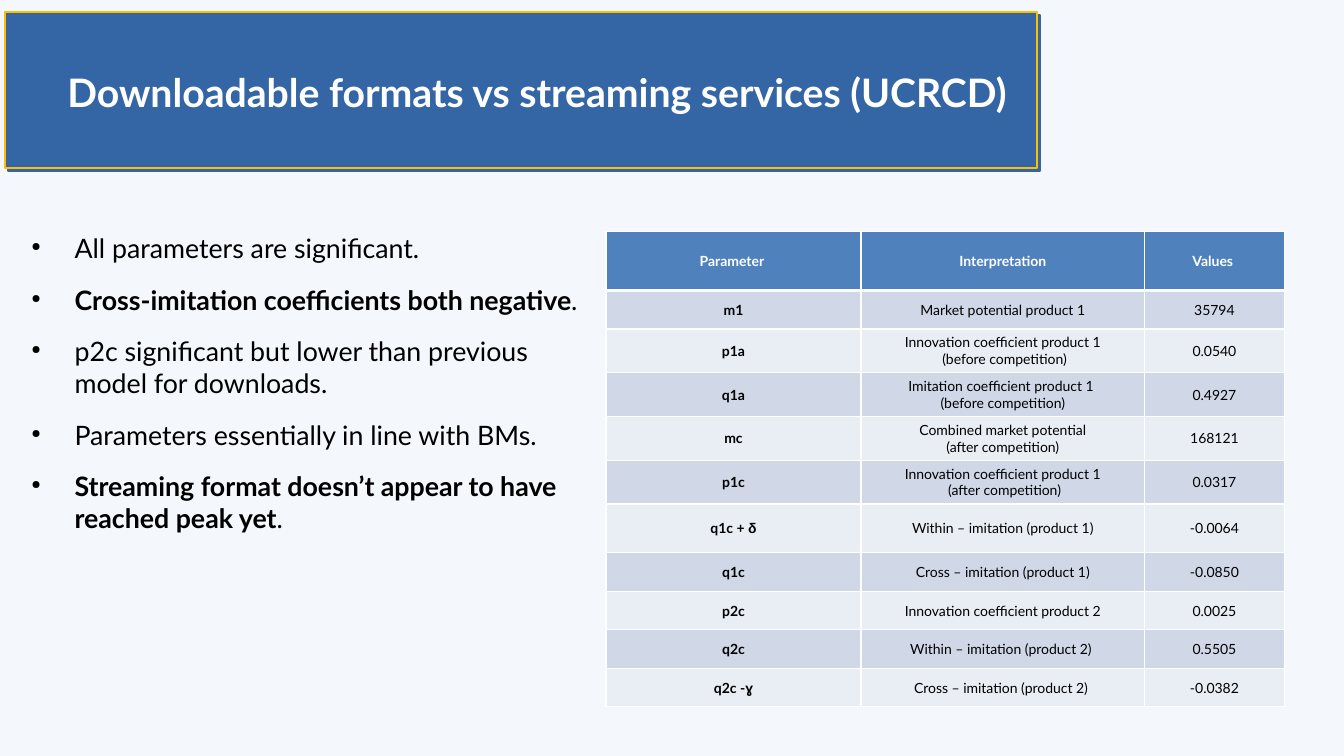
import pptx
import pptx.dml.color
import pptx.enum.shapes
import pptx.enum.text
import pptx.oxml
import pptx.oxml.ns
import pptx.util
from dataclasses import dataclass

Cm = pptx.util.Cm
Pt = pptx.util.Pt
MIDDLE = pptx.enum.text.MSO_ANCHOR.MIDDLE


@dataclass(frozen=True)
class Theme:
    font: str = "Lato"
    greek_font: str = "Arial"
    background: str = "F4F7FB"
    banner: str = "3465A4"
    banner_line: str = "FFBF00"
    header: str = "4F81BD"
    bands: tuple = ("D0D8E8", "E9EDF4")
    light: str = "FFFFFF"
    dark: str = "000000"
    title_size: float = 28
    body_size: float = 19.1
    table_size: float = 10


THEME = Theme()

TITLE = "Downloadable formats vs streaming services (UCRCD)"

# Each finding is a list of (text, bold) spans
FINDINGS = [
    [("All parameters are significant.", False)],
    [("Cross-imitation coefficients both negative", True), (".", False)],
    [("p2c significant but lower than previous model for downloads.", False)],
    [("Parameters essentially in line with BMs.", False)],
    [("Streaming format doesn’t appear to have reached peak yet", True), (".", False)],
]

HEADINGS = ["Parameter ", "Interpretation", "Values "]

# Parameter, Greek symbol, interpretation lines, value, row height in cm
PARAMETERS = [
    ("m1", "", ["Market potential product 1"], "35794", 0.97),
    ("p1a", "", ["Innovation coefficient product 1", " (before competition)"], "0.0540", 1.1),
    ("q1a", "", ["Imitation coefficient product 1 ", "(before competition)"], "0.4927", 1.1),
    ("mc", "", ["Combined market potential", " (after competition) "], "168121", 1.1),
    ("p1c", "", ["Innovation coefficient product 1", " (after competition)"], "0.0317", 1.1),
    ("q1c + ", "δ", ["Within – imitation (product 1)"], "-0.0064", 1.23),
    ("q1c", "", ["Cross – imitation (product 1)"], "-0.0850", 0.97),
    ("p2c", "", ["Innovation coefficient product 2"], "0.0025", 0.97),
    ("q2c", "", ["Within – imitation (product 2) "], "0.5505", 0.97),
    ("q2c -", "ɣ", ["Cross – imitation (product 2) "], "-0.0382", 0.97),
]
HEADER_HEIGHT = 1.48
COLUMN_WIDTHS = [6.43, 7.14, 3.53]


def rgb(code):
    return pptx.dml.color.RGBColor.from_string(code)


def add_xml(parent, markup):
    namespace = pptx.oxml.ns.nsdecls("a")
    parent.append(pptx.oxml.parse_xml(markup.replace(">", f" {namespace}>", 1)))


def add_span(para, text, size, color, bold=False, font=THEME.font):
    span = para.add_run()
    span.text = text
    for name, value in {"name": font, "size": Pt(size), "bold": bold}.items():
        setattr(span.font, name, value)
    span.font.color.rgb = rgb(color)


def add_banner(page, left, top, width, height):
    rectangle = pptx.enum.shapes.MSO_SHAPE.RECTANGLE
    banner = page.shapes.add_shape(rectangle, Cm(left), Cm(top), Cm(width), Cm(height))
    banner.fill.solid()
    banner.fill.fore_color.rgb = rgb(THEME.banner)
    banner.line.color.rgb = rgb(THEME.banner_line)
    banner.line.width = Pt(1.42)
    # Hard shadow to the lower right
    add_xml(banner._element.spPr,
            f'<a:effectLst><a:outerShdw blurRad="0" dist="{Pt(2.8)}" dir="2700000" '
            f'algn="tl" rotWithShape="0"><a:srgbClr val="{THEME.banner}"/>'
            '</a:outerShdw></a:effectLst>')


def add_text_frame(page, left, top, width, height, anchor):
    box = page.shapes.add_textbox(Cm(left), Cm(top), Cm(width), Cm(height))
    frame = box.text_frame
    formats = {"word_wrap": True, "vertical_anchor": anchor, "margin_left": 0,
               "margin_top": 0, "margin_right": 0, "margin_bottom": 0}
    for name, value in formats.items():
        setattr(frame, name, value)
    return frame


def add_bullets(frame, findings):
    for index, spans in enumerate(findings):
        para = frame.add_paragraph() if index else frame.paragraphs[0]
        para.space_after = Pt(13.9)
        properties = para._p.get_or_add_pPr()
        properties.set("marL", str(Cm(1.45)))
        properties.set("indent", str(Cm(-1.09)))
        for markup in (f'<a:buClr><a:srgbClr val="{THEME.dark}"/></a:buClr>',
                       '<a:buSzPct val="45000"></a:buSzPct>',
                       '<a:buChar char="●"></a:buChar>'):
            add_xml(properties, markup)
        for text, bold in spans:
            add_span(para, text, THEME.body_size, THEME.dark, bold)


def format_cell(cell, fill, top=1, bottom=1):
    cell.vertical_anchor = MIDDLE
    properties = cell._tc.get_or_add_tcPr()
    for side, width in {"L": 1, "R": 1, "T": top, "B": bottom}.items():
        add_xml(properties,
                f'<a:ln{side} w="{Pt(width)}"><a:solidFill>'
                f'<a:srgbClr val="{THEME.light}"/></a:solidFill></a:ln{side}>')
    cell.fill.solid()
    cell.fill.fore_color.rgb = rgb(fill)


def write_cell(cell, lines, color, bold=False, symbol=""):
    for index, line in enumerate(lines):
        para = cell.text_frame.paragraphs[0] if index == 0 else cell.text_frame.add_paragraph()
        para.alignment = pptx.enum.text.PP_ALIGN.CENTER
        add_span(para, line, THEME.table_size, color, bold)
    if symbol:
        add_span(para, symbol, THEME.table_size, color, bold, THEME.greek_font)


def add_parameter_table(page, left, top):
    heights = [HEADER_HEIGHT] + [parameter[-1] for parameter in PARAMETERS]
    table = page.shapes.add_table(len(heights), len(COLUMN_WIDTHS), Cm(left), Cm(top),
                                  Cm(sum(COLUMN_WIDTHS)), Cm(sum(heights))).table
    for column, width in zip(table.columns, COLUMN_WIDTHS):
        column.width = Cm(width)
    for row, height in zip(table.rows, heights):
        row.height = Cm(height)

    # Header row
    for column, heading in enumerate(HEADINGS):
        cell = table.cell(0, column)
        format_cell(cell, THEME.header, bottom=3)
        write_cell(cell, [heading], THEME.light, bold=True)

    # Banded parameter rows
    for row, (name, symbol, meaning, value, _) in enumerate(PARAMETERS, start=1):
        for column, lines in enumerate(([name], meaning, [value])):
            cell = table.cell(row, column)
            format_cell(cell, THEME.bands[(row - 1) % 2], top=3 if row == 1 else 1)
            is_name = column == 0
            write_cell(cell, lines, THEME.dark, is_name, symbol if is_name else "")


def main():
    deck = pptx.Presentation()
    deck.slide_width, deck.slide_height = Cm(33.87), Cm(19.05)
    page = deck.slides.add_slide(deck.slide_layouts[6])
    page.background.fill.solid()
    page.background.fill.fore_color.rgb = rgb(THEME.background)

    # Title banner
    add_banner(page, 0.13, 0.3, 26.01, 3.94)
    title = add_text_frame(page, 1.7, 0.81, 25.02, 3.02, MIDDLE)
    add_span(title.paragraphs[0], TITLE, THEME.title_size, THEME.light, bold=True)

    # Findings on the left, estimates on the right
    findings = add_text_frame(page, 0.43, 5.84, 14.22, 12.07, pptx.enum.text.MSO_ANCHOR.TOP)
    add_bullets(findings, FINDINGS)
    add_parameter_table(page, 15.27, 5.84)

    deck.save("out.pptx")


if __name__ == "__main__":
    main()
